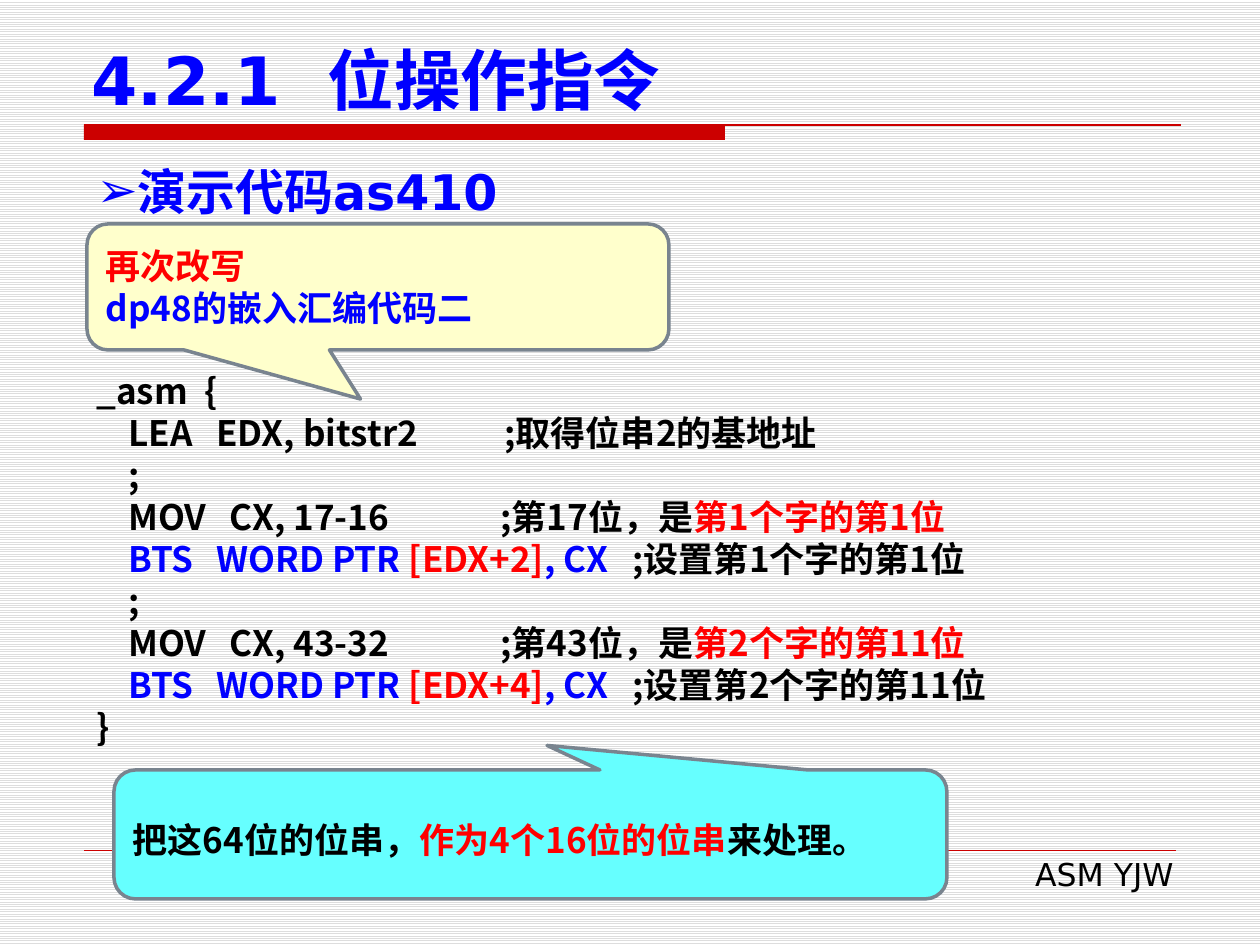
from pptx import Presentation
from pptx.dml.color import RGBColor
from pptx.enum.dml import MSO_PATTERN
from pptx.enum.shapes import MSO_CONNECTOR, MSO_SHAPE
from pptx.enum.text import MSO_ANCHOR, MSO_AUTO_SIZE, PP_ALIGN
from pptx.oxml.ns import qn
from pptx.util import Emu, Pt
from lxml.etree import SubElement

PX = 914400 // 126

BLACK = RGBColor(0x00, 0x00, 0x00)
BLUE = RGBColor(0x00, 0x00, 0xFF)
RED = RGBColor(0xFF, 0x00, 0x00)
RULE_RED = RGBColor(0xCC, 0x00, 0x00)
OUTLINE = RGBColor(0x79, 0x84, 0x8F)
CREAM = RGBColor(0xFF, 0xFF, 0xCC)
CYAN = RGBColor(0x66, 0xFF, 0xFF)
STRIPE = RGBColor(0xDD, 0xDD, 0xDD)
WHITE = RGBColor(0xFF, 0xFF, 0xFF)

HEADING_FONT = "DejaVu Sans"
CODE_FONT = "Noto Sans CJK SC"

TITLE = "4.2.1  位操作指令"
BULLET = "演示代码as410"
FOOTER = "ASM YJW"

# Tab stops in px for each kind of code line
OPEN, LONE, LEA, MOV, BTS = (108,), (32,), (32, 120, 408), (32, 133, 404), (32, 120, 536)


def bit_set(offset, comment):
    return BTS, [("\t", BLACK), ("BTS\tWORD PTR ", BLUE), (f"[EDX+{offset}]", RED),
                 (", CX", BLUE), (f"\t;{comment}", BLACK)]


CODE = [
    (OPEN, [("_asm\t{", BLACK)]),
    (LEA, [("\tLEA\tEDX, bitstr2\t;取得位串2的基地址", BLACK)]),
    (LONE, [("\t;", BLACK)]),
    (MOV, [("\tMOV\tCX, 17-16\t;第17位，是", BLACK), ("第1个字的第1位", RED)]),
    bit_set(2, "设置第1个字的第1位"),
    (LONE, [("\t;", BLACK)]),
    (MOV, [("\tMOV\tCX, 43-32\t;第43位，是", BLACK), ("第2个字的第11位", RED)]),
    bit_set(4, "设置第2个字的第11位"),
    ((), [("}", BLACK)]),
]

# box in px, fill, pointer tip, line spacing in points, lines of (text, colour)
CALLOUTS = [
    ((87, 224, 582, 126), CREAM, (-0.03, 0.89), 24,
     [[("再次改写", RED)], [("dp48的嵌入汇编代码二", BLUE)]]),
    ((114, 770, 833, 129), CYAN, (0.02, -0.69), 30,
     [[("把这64位的位串，", BLACK), ("作为4个16位的位串", RED), ("来处理。", BLACK)]]),
]


def px(*values):
    return [Emu(value * PX) for value in values]


def place(shape, box):
    shape.left, shape.top, shape.width, shape.height = px(*box)


def write(paragraph, runs, font, size, bold=True, align=PP_ALIGN.LEFT):
    paragraph.alignment = align
    for text, color in runs:
        run = paragraph.add_run()
        run.text = text
        run.font.name, run.font.size, run.font.bold = font, Pt(size), bold
        run.font.color.rgb = color
        SubElement(run.font._element, qn("a:ea"), typeface=CODE_FONT)


def write_lines(frame, lines, spacing):
    for index, runs in enumerate(lines):
        paragraph = frame.add_paragraph() if index else frame.paragraphs[0]
        paragraph.line_spacing = Pt(spacing)
        write(paragraph, runs, CODE_FONT, 20)


def set_tabs(paragraph, stops):
    tab_list = SubElement(paragraph._p.get_or_add_pPr(), qn("a:tabLst"))
    for stop in stops:
        SubElement(tab_list, qn("a:tab"), pos=str(stop * PX), algn="l")


def add_rule(slide, left, right, y, width):
    rule = slide.shapes.add_connector(MSO_CONNECTOR.STRAIGHT, *px(left, y, right, y))
    rule.line.color.rgb = RULE_RED
    rule.line.width = Pt(width)
    SubElement(rule._element.spPr, qn("a:effectLst"))


def add_text_box(slide, box):
    frame = slide.shapes.add_textbox(*px(*box)).text_frame
    frame.word_wrap = True
    return frame


def add_callout(slide, box, fill, tip, spacing, lines):
    shape = slide.shapes.add_shape(MSO_SHAPE.ROUNDED_RECTANGULAR_CALLOUT, *px(*box))
    shape.shadow.inherit = False
    shape.fill.solid()
    shape.fill.fore_color.rgb = fill
    shape.line.color.rgb = OUTLINE
    shape.line.width = Pt(2)
    shape.adjustments[0], shape.adjustments[1] = tip
    shape.text_frame.vertical_anchor = MSO_ANCHOR.MIDDLE
    write_lines(shape.text_frame, lines, spacing)


def main():
    presentation = Presentation()
    presentation.slide_width, presentation.slide_height = px(1260, 945)
    slide = presentation.slides.add_slide(presentation.slide_layouts[1])

    background = slide.background.fill
    background.patterned()
    background.pattern = MSO_PATTERN.LIGHT_HORIZONTAL
    background.fore_color.rgb = STRIPE
    background.back_color.rgb = WHITE

    title, body = slide.placeholders
    place(title, (79, 42, 1103, 83))
    title.text_frame.auto_size = MSO_AUTO_SIZE.NONE
    title.text_frame.vertical_anchor = MSO_ANCHOR.BOTTOM
    write(title.text_frame.paragraphs[0], [(TITLE, BLUE)], HEADING_FONT, 38)

    place(body, (84, 155, 1091, 72))
    body.text_frame.auto_size = MSO_AUTO_SIZE.NONE
    item = body.text_frame.paragraphs[0]
    write(item, [(BULLET, BLUE)], HEADING_FONT, 28)
    item.space_before = Pt(14)
    properties = item._p.get_or_add_pPr()
    properties.set("marL", "0")
    properties.set("indent", "0")
    SubElement(properties, qn("a:buChar"), char="➢")

    bar = slide.shapes.add_shape(MSO_SHAPE.RECTANGLE, *px(84, 125, 641, 15))
    bar.shadow.inherit = False
    bar.fill.solid()
    bar.fill.fore_color.rgb = RULE_RED
    bar.line.fill.background()
    add_rule(slide, 84, 1181, 125, 0.75)
    add_rule(slide, 84, 1176, 850, 0.25)

    footer = add_text_box(slide, (481, 849, 705, 50))
    write(footer.paragraphs[0], [(FOOTER, BLACK)], HEADING_FONT, 18, False, PP_ALIGN.RIGHT)

    code = add_text_box(slide, (84, 363, 1142, 394))
    write_lines(code, [runs for _, runs in CODE], 24)
    for paragraph, (stops, _) in zip(code.paragraphs, CODE):
        set_tabs(paragraph, stops)

    for callout in CALLOUTS:
        add_callout(slide, *callout)

    presentation.save("out.pptx")


if __name__ == "__main__":
    main()
